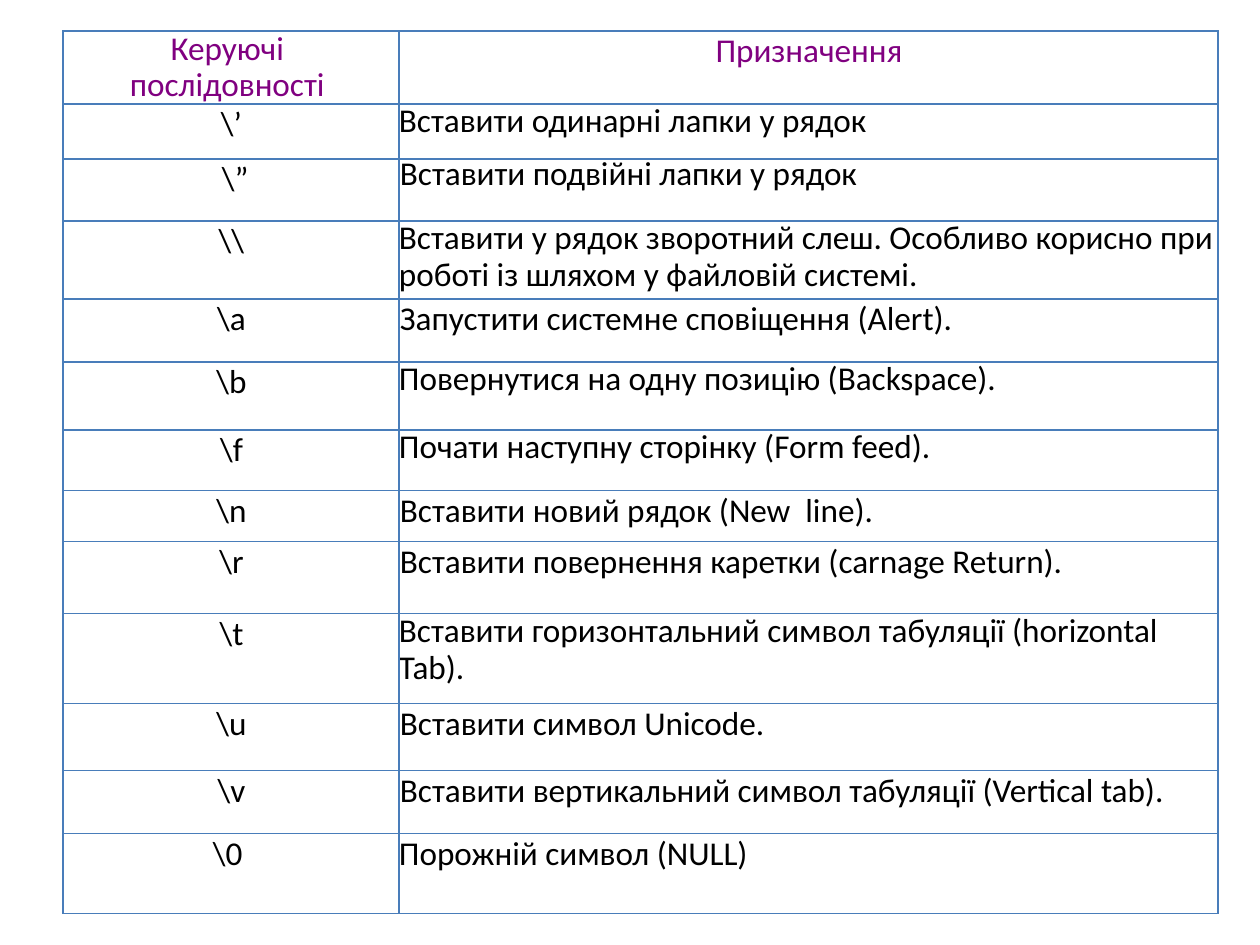
from lxml.etree import SubElement
from pptx import Presentation
from pptx.dml.color import RGBColor
from pptx.enum.text import PP_ALIGN
from pptx.oxml.ns import qn
from pptx.util import Emu, Pt

SCALE = 914400 // 126
FONT, SIZE = "Calibri", 19
INK, HEAD, EDGE = "000000", "800080", "497DBA"
COLS = [336, 819]
HEAD_TALL = 73
TIGHT, FIXED = 0.9, Pt(20.3)

# code, meaning, row height, line spacing, indent of the meaning
ROWS = [
    ("\\’", "Вставити одинарні лапки у рядок", 55, TIGHT, 0),
    (" \\”", "Вставити подвійні лапки у рядок", 62, FIXED, 1),
    ("\\\\", "Вставити у рядок зворотний слеш. Особливо корисно при "
             "роботі із шляхом у файловій системі.", 78, TIGHT, 0),
    ("\\a", "Запустити системне сповіщення (Alert).", 63, None, 1),
    ("\\b", "Повернутися на одну позицію (Backspace).", 68, TIGHT, 0),
    ("\\f", "Почати наступну сторінку (Form feed).", 61, TIGHT, 0),
    ("\\n", "Вставити новий рядок (New  line).", 51, None, 1),
    ("\\r", "Вставити повернення каретки (carnage Return).", 72, None, 1),
    ("\\t", "Вставити горизонтальний символ табуляції (horizontal Tab).",
     90, TIGHT, 0),
    ("\\u", "Вставити символ Unicode.", 67, None, 1),
    ("\\v", "Вставити вертикальний символ табуляції (Vertical tab).",
     63, None, 1),
    ("\\0 ", "Порожній символ (NULL)", 80, None, 0),
]


def px(n):
    return Emu(n * SCALE)


def paint(text):
    return RGBColor.from_string(text)


def edge(cell):
    """Draw a thin line on all four sides of the cell."""
    props = cell._tc.get_or_add_tcPr()
    for i, side in enumerate("LRTB"):
        line = SubElement(props, qn(f"a:ln{side}"), w=str(Pt(1)))
        fill = SubElement(line, qn("a:solidFill"))
        SubElement(fill, qn("a:srgbClr"), val=EDGE)
        props.insert(i, line)


def write(cell, lines, color=INK, align=PP_ALIGN.CENTER, space=None, indent=1):
    cell.margin_left = cell.margin_right = 0
    cell.margin_top = cell.margin_bottom = 0
    cell.fill.background()
    edge(cell)
    frame = cell.text_frame
    for i, text in enumerate(lines):
        para = frame.add_paragraph() if i else frame.paragraphs[0]
        para.alignment = align
        para.line_spacing = space
        para._p.get_or_add_pPr().set("marL", str(px(indent)))
        run = para.add_run()
        run.text = text
        run.font.name = FONT
        run.font.size = Pt(SIZE)
        run.font.color.rgb = paint(color)


def add_grid(slide):
    talls = [HEAD_TALL] + [row[2] for row in ROWS]
    grid = slide.shapes.add_table(
        len(talls), len(COLS), px(63), px(31), px(sum(COLS)), px(sum(talls))
    ).table
    grid.first_row = grid.horz_banding = False
    for col, wide in zip(grid.columns, COLS):
        col.width = px(wide)
    for row, tall in zip(grid.rows, talls):
        row.height = px(tall)
    return grid


def main():
    deck = Presentation()
    deck.slide_width, deck.slide_height = px(1260), px(945)
    slide = deck.slides.add_slide(deck.slide_layouts[6])
    grid = add_grid(slide)
    write(grid.cell(0, 0), ["Керуючі ", "послідовності "], HEAD,
          space=TIGHT, indent=0)
    write(grid.cell(0, 1), ["Призначення"], HEAD)
    for i, (code, use, _, space, indent) in enumerate(ROWS, 1):
        write(grid.cell(i, 0), [code])
        write(grid.cell(i, 1), [use], align=PP_ALIGN.LEFT,
              space=space, indent=indent)
    deck.save("out.pptx")


if __name__ == "__main__":
    main()
